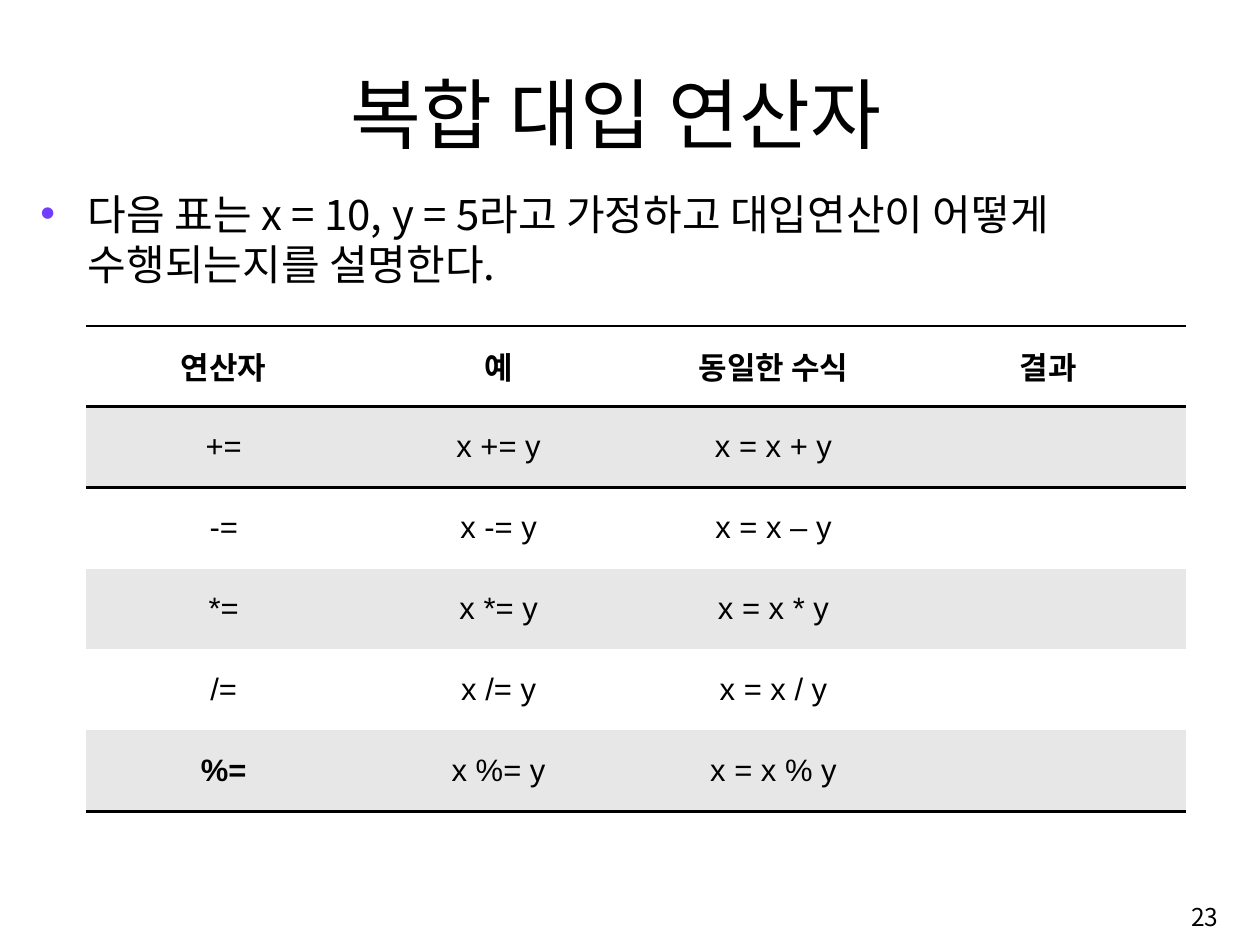
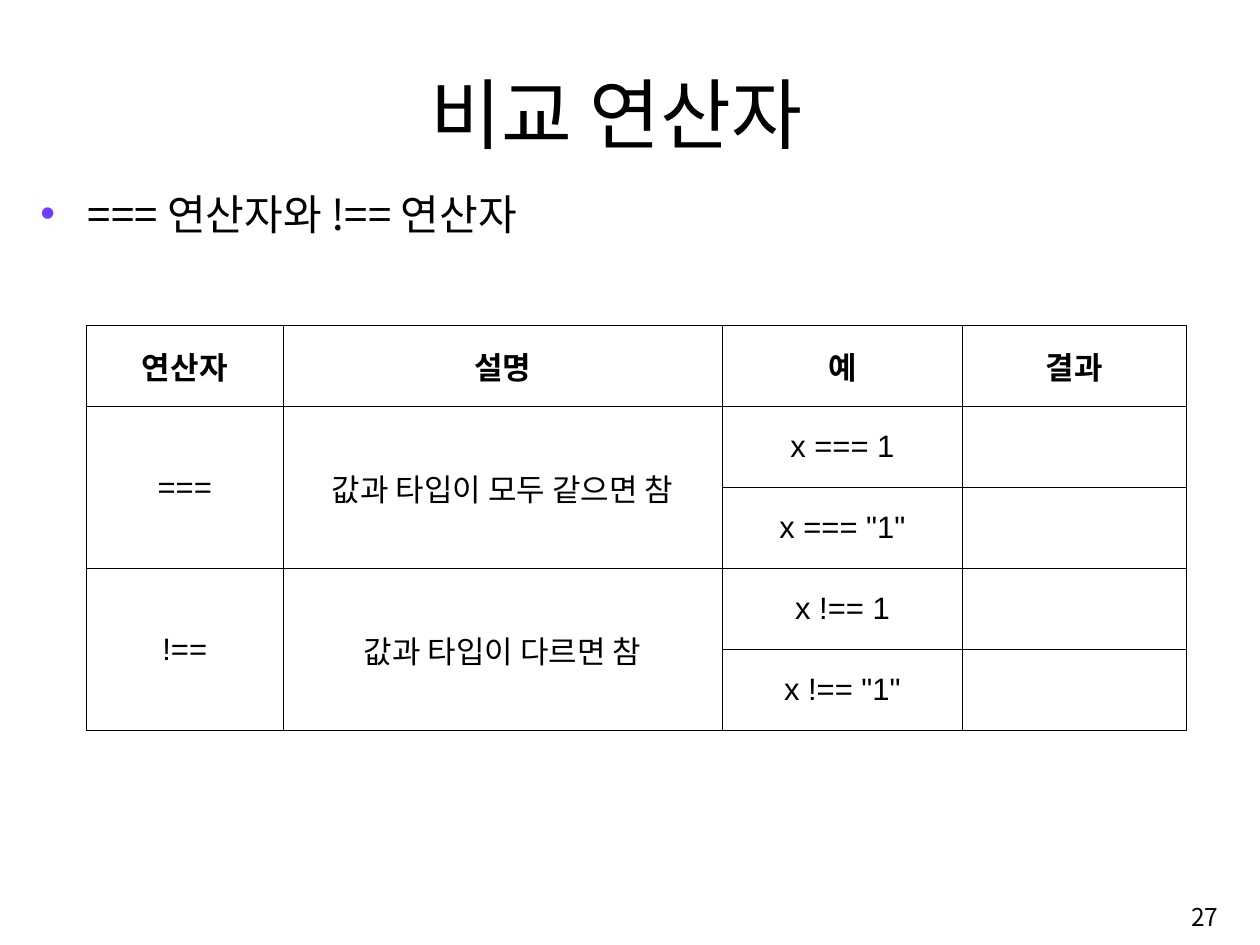
from dataclasses import dataclass
from typing import Optional

from lxml import etree
from pptx import Presentation
from pptx.dml.color import RGBColor
from pptx.enum.text import MSO_ANCHOR, PP_ALIGN
from pptx.oxml.ns import qn
from pptx.util import Cm, Pt

CENTER, LEFT, RIGHT = PP_ALIGN.CENTER, PP_ALIGN.LEFT, PP_ALIGN.RIGHT
TOP, MIDDLE, BOTTOM = MSO_ANCHOR.TOP, MSO_ANCHOR.MIDDLE, MSO_ANCHOR.BOTTOM

BLACK, WHITE, BAND, BULLET = "000000", "FFFFFF", "E7E7E7", "703DFF"
KOREAN_FONT, TABLE_FONT = "Noto Sans CJK KR", "Arial"
NO_TABLE_STYLE = "{2D5ABB26-0587-4C30-8999-92F81FD0307C}"

TABLE_LEFT, TABLE_TOP, ROW_HEIGHT = 2.26, 8.53, 2.12
BODY_SIZE, BODY_INDENT = 31.2, 1.24


@dataclass(frozen=True)
class TextStyle:
    size: float
    font: str = KOREAN_FONT
    align: PP_ALIGN = LEFT
    anchor: MSO_ANCHOR = TOP
    bold: bool = False


@dataclass(frozen=True)
class Box:
    left: float
    top: float
    width: float
    height: float


@dataclass(frozen=True)
class OperatorTable:
    """A None in rows continues the cell above it."""
    widths: tuple[float, ...]
    rows: tuple[tuple[Optional[str], ...], ...]
    gridded: bool = False
    bold_labels: tuple[str, ...] = ()


@dataclass(frozen=True)
class Lesson:
    title: str
    statement: str
    table: OperatorTable
    number: int


TITLE_BOX = Box(2.67, 1.55, 26.95, 2.74)
BODY_BOX = Box(0.81, 4.8, 31.29, 17.93)
NUMBER_BOX = Box(25.35, 23.24, 6.81, 1.52)

TITLE_STYLE = TextStyle(57.2, align=CENTER, anchor=BOTTOM)
BODY_STYLE = TextStyle(BODY_SIZE)
NUMBER_STYLE = TextStyle(18.2, align=RIGHT, anchor=MIDDLE)

LESSONS = (
    Lesson(
        "복합 대입 연산자",
        "다음 표는 x = 10, y = 5라고 가정하고 대입연산이 어떻게 수행되는지를 설명한다.",
        OperatorTable(
            (7.2,) * 4,
            (
                ("연산자", "예", "동일한 수식", "결과"),
                ("+=", "x += y", "x = x + y", ""),
                ("-=", "x -= y", "x = x – y", ""),
                ("*=", "x *= y", "x = x * y", ""),
                ("/=", "x /= y", "x = x / y", ""),
                ("%=", "x %= y", "x = x % y", ""),
            ),
            bold_labels=("%=",),
        ),
        23,
    ),
    Lesson(
        "비교 연산자",
        "=== 연산자와 !== 연산자",
        OperatorTable(
            (5.16, 11.5, 6.29, 5.86),
            (
                ("연산자", "설명", "예", "결과"),
                ("===", "값과 타입이 모두 같으면 참", "x === 1", ""),
                (None, None, 'x === "1"', ""),
                ("!==", "값과 타입이 다르면 참", "x !== 1", ""),
                (None, None, 'x !== "1"', ""),
            ),
            gridded=True,
        ),
        27,
    ),
)


def rgb(value: str) -> RGBColor:
    return RGBColor.from_string(value)


def write(frame, text: str, style: TextStyle):
    """Put one styled run in the first paragraph and return the paragraph."""
    paragraph = frame.paragraphs[0]
    paragraph.alignment = style.align
    run = paragraph.add_run()
    run.text = text
    run.font.size = Pt(style.size)
    run.font.bold = style.bold
    run.font.color.rgb = rgb(BLACK)
    run.font.name = style.font
    east_asian = etree.SubElement(run.font._element, qn("a:ea"))
    east_asian.set("typeface", KOREAN_FONT)
    return paragraph


def add_text(slide, box: Box, text: str, style: TextStyle):
    frame = slide.shapes.add_textbox(
        Cm(box.left), Cm(box.top), Cm(box.width), Cm(box.height)
    ).text_frame
    frame.word_wrap = True
    frame.vertical_anchor = style.anchor
    return write(frame, text, style)


def make_bullet(paragraph) -> None:
    paragraph.space_before = Pt(BODY_SIZE * 0.2)
    properties = paragraph._p.get_or_add_pPr()
    properties.set("marL", str(Cm(BODY_INDENT)))
    properties.set("indent", str(-Cm(BODY_INDENT)))
    colour = etree.SubElement(properties, qn("a:buClr"))
    etree.SubElement(colour, qn("a:srgbClr")).set("val", BULLET)
    etree.SubElement(properties, qn("a:buFont")).set("typeface", TABLE_FONT)
    etree.SubElement(properties, qn("a:buChar")).set("char", "•")


def add_borders(cell, sides: str, points: float) -> None:
    """Draw the named sides, given in the order L, R, T, B."""
    properties = cell._tc.get_or_add_tcPr()
    for side in sides:
        line = etree.SubElement(properties, qn(f"a:ln{side}"))
        line.set("w", str(Pt(points)))
        fill = etree.SubElement(line, qn("a:solidFill"))
        etree.SubElement(fill, qn("a:srgbClr")).set("val", BLACK)


def draw_cell_frame(cell, row: int, last_row: int, gridded: bool) -> None:
    if gridded:
        add_borders(cell, "LRTB", 1)
        cell.fill.background()
        return
    sides = {0: "TB", 1: "T", last_row: "B"}.get(row, "")
    add_borders(cell, sides, 2)
    cell.fill.solid()
    cell.fill.fore_color.rgb = rgb(BAND if row % 2 else WHITE)


def add_operator_table(slide, spec: OperatorTable) -> None:
    row_count = len(spec.rows)
    table = slide.shapes.add_table(
        row_count, len(spec.widths), Cm(TABLE_LEFT), Cm(TABLE_TOP),
        Cm(sum(spec.widths)), Cm(ROW_HEIGHT * row_count),
    ).table
    table.first_row = table.horz_banding = False
    table._tbl.tblPr.find(qn("a:tableStyleId")).text = NO_TABLE_STYLE
    for column, width in zip(table.columns, spec.widths):
        column.width = Cm(width)
    for row, labels in enumerate(spec.rows):
        table.rows[row].height = Cm(ROW_HEIGHT)
        for column, label in enumerate(labels):
            cell = table.cell(row, column)
            cell.margin_left = cell.margin_right = Cm(0.33)
            cell.margin_top = cell.margin_bottom = Cm(0.16)
            cell.vertical_anchor = MIDDLE
            draw_cell_frame(cell, row, row_count - 1, spec.gridded)
            if label is None:
                table.cell(row - 1, column).merge(cell)
            elif label:
                bold = row == 0 or label in spec.bold_labels
                style = TextStyle(23, TABLE_FONT, CENTER, MIDDLE, bold)
                write(cell.text_frame, label, style)


def add_lesson(deck, lesson: Lesson) -> None:
    slide = deck.slides.add_slide(deck.slide_layouts[6])
    slide.background.fill.solid()
    slide.background.fill.fore_color.rgb = rgb(WHITE)
    add_text(slide, TITLE_BOX, lesson.title, TITLE_STYLE)
    make_bullet(add_text(slide, BODY_BOX, lesson.statement, BODY_STYLE))
    add_operator_table(slide, lesson.table)
    add_text(slide, NUMBER_BOX, str(lesson.number), NUMBER_STYLE)


def main() -> None:
    deck = Presentation()
    deck.slide_width, deck.slide_height = Cm(33), Cm(24.75)
    for lesson in LESSONS:
        add_lesson(deck, lesson)
    deck.save("out.pptx")


if __name__ == "__main__":
    main()
